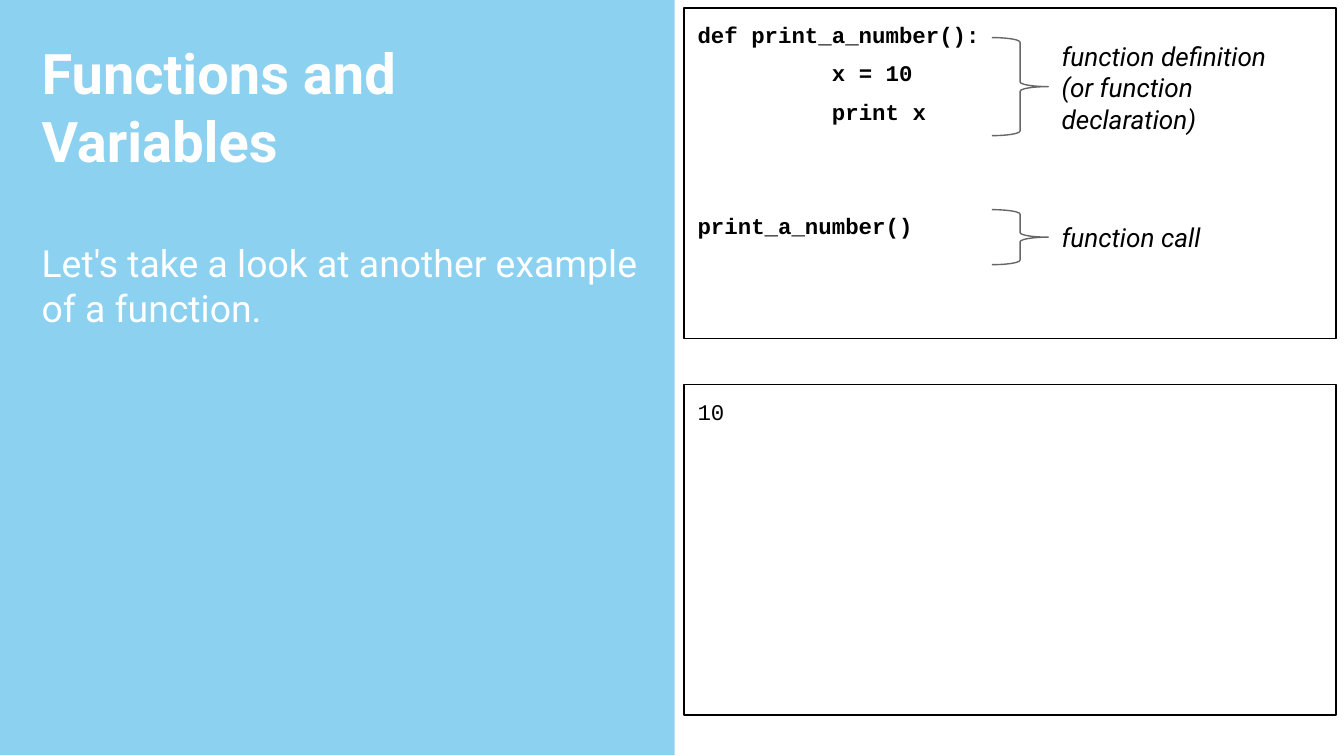
from dataclasses import dataclass

from lxml.etree import SubElement
from pptx import Presentation
from pptx.dml.color import RGBColor
from pptx.enum.shapes import MSO_SHAPE as Shape
from pptx.enum.text import MSO_ANCHOR as Anchor, MSO_AUTO_SIZE as AutoSize, PP_ALIGN as Align
from pptx.oxml.ns import qn
from pptx.util import Inches, Pt

BLUE = RGBColor(0x27, 0xA9, 0xE1)
WHITE = RGBColor(0xFF, 0xFF, 0xFF)
BLACK = RGBColor(0, 0, 0)
GRAY = RGBColor(0x66, 0x66, 0x66)

TITLE = {"name": "Roboto", "size": Pt(30), "bold": True}
INTRO = {"name": "Roboto", "size": Pt(20), "bold": False}
CODE = {"name": "Courier New", "size": Pt(12), "bold": True}
OUTPUT = CODE | {"bold": False}
LABEL = {"name": "Roboto", "size": Pt(14), "italic": True}


@dataclass
class Box:
    left: float
    top: float
    width: float
    height: float


@dataclass
class Line:
    text: str
    indent: float = 0
    space_before: float = 0


@dataclass
class Note:
    brace_top: float
    brace_height: float
    label: Box
    lines: list[Line]


def place(shape, box: Box) -> None:
    for side in ("left", "top", "width", "height"):
        setattr(shape, side, Inches(getattr(box, side)))


def write(shape, box: Box, lines: list[Line], style: dict, color: RGBColor,
          anchor=Anchor.TOP) -> None:
    """Place a text shape and fill it with plain, left-aligned lines."""
    place(shape, box)
    frame = shape.text_frame
    frame_format = {"word_wrap": True, "auto_size": AutoSize.NONE, "vertical_anchor": anchor}
    for side in ("left", "top", "right", "bottom"):
        frame_format[f"margin_{side}"] = Inches(0.1)
    for name, value in frame_format.items():
        setattr(frame, name, value)
    for number, line in enumerate(lines):
        paragraph = frame.add_paragraph() if number else frame.paragraphs[0]
        paragraph.alignment = Align.LEFT
        paragraph.space_before = Pt(line.space_before)
        properties = paragraph._p.get_or_add_pPr()
        properties.set("marL", str(Inches(line.indent)))
        properties.set("indent", "0")
        SubElement(properties, qn("a:buNone"))
        run = paragraph.add_run()
        run.text = line.text
        for name, value in style.items():
            setattr(run.font, name, value)
        run.font.color.rgb = color


def outline(shape, color: RGBColor) -> None:
    shape.line.color.rgb = color
    shape.line.width = Pt(0.75)


def draw_note(slide, note: Note) -> None:
    """Draw a brace with its label to the right."""
    brace = slide.shapes.add_shape(Shape.RIGHT_BRACE, 0, 0, 0, 0)
    place(brace, Box(7.38, note.brace_top, 0.42, note.brace_height))
    brace.adjustments[0] = 0.083
    brace.adjustments[1] = 0.5
    brace.shadow.inherit = False
    brace.fill.background()
    outline(brace, GRAY)
    label = slide.shapes.add_textbox(0, 0, 0, 0)
    write(label, note.label, note.lines, LABEL, BLACK, Anchor.MIDDLE)


def main() -> None:
    presentation = Presentation()
    # Widescreen, 16 to 9
    presentation.slide_width = Inches(10)
    presentation.slide_height = Inches(10 * 9 / 16)
    # The comparison layout offers a title and four text placeholders
    slide = presentation.slides.add_slide(presentation.slide_layouts[4])
    title, intro, code, output, spare = slide.placeholders
    spare.element.getparent().remove(spare.element)

    # Translucent panel behind the left half
    panel = slide.shapes.add_shape(Shape.RECTANGLE, 0, 0, 0, 0)
    place(panel, Box(0, -0.05, 5.02, 5.67))
    panel.shadow.inherit = False
    panel.fill.solid()
    panel.fill.fore_color.rgb = BLUE
    panel.line.fill.background()
    tint = panel.element.spPr.find(f"{qn('a:solidFill')}/{qn('a:srgbClr')}")
    SubElement(tint, qn("a:alpha")).set("val", "53000")
    slide.shapes.element.insert(2, panel.element)

    # Heading and introduction
    write(title, Box(0.21, 0.19, 4.64, 1.2), [Line("Functions and Variables")], TITLE, WHITE)
    write(intro, Box(0.21, 1.69, 4.64, 0.9),
          [Line("Let's take a look at another example of a function.")], INTRO, WHITE)

    # Code and its output
    code_lines = [
        Line("def print_a_number():", space_before=6),
        Line("x = 10", indent=1, space_before=6),
        Line("print x", indent=1, space_before=6),
        Line("print_a_number()", space_before=47),
    ]
    write(code, Box(5.09, 0.06, 4.85, 2.46), code_lines, CODE, BLACK)
    write(output, Box(5.09, 2.86, 4.85, 2.46), [Line("10", space_before=6)], OUTPUT, BLACK)
    for frame in (code, output):
        outline(frame, BLACK)

    # Braces with explanations
    notes = [
        Note(0.28, 0.73, Box(7.8, 0.3, 1.98, 0.7),
             [Line("function definition"), Line("(or function declaration)")]),
        Note(1.56, 0.41, Box(7.8, 1.57, 1.98, 0.39), [Line("function call")]),
    ]
    for note in notes:
        draw_note(slide, note)

    presentation.save("out.pptx")


if __name__ == "__main__":
    main()
